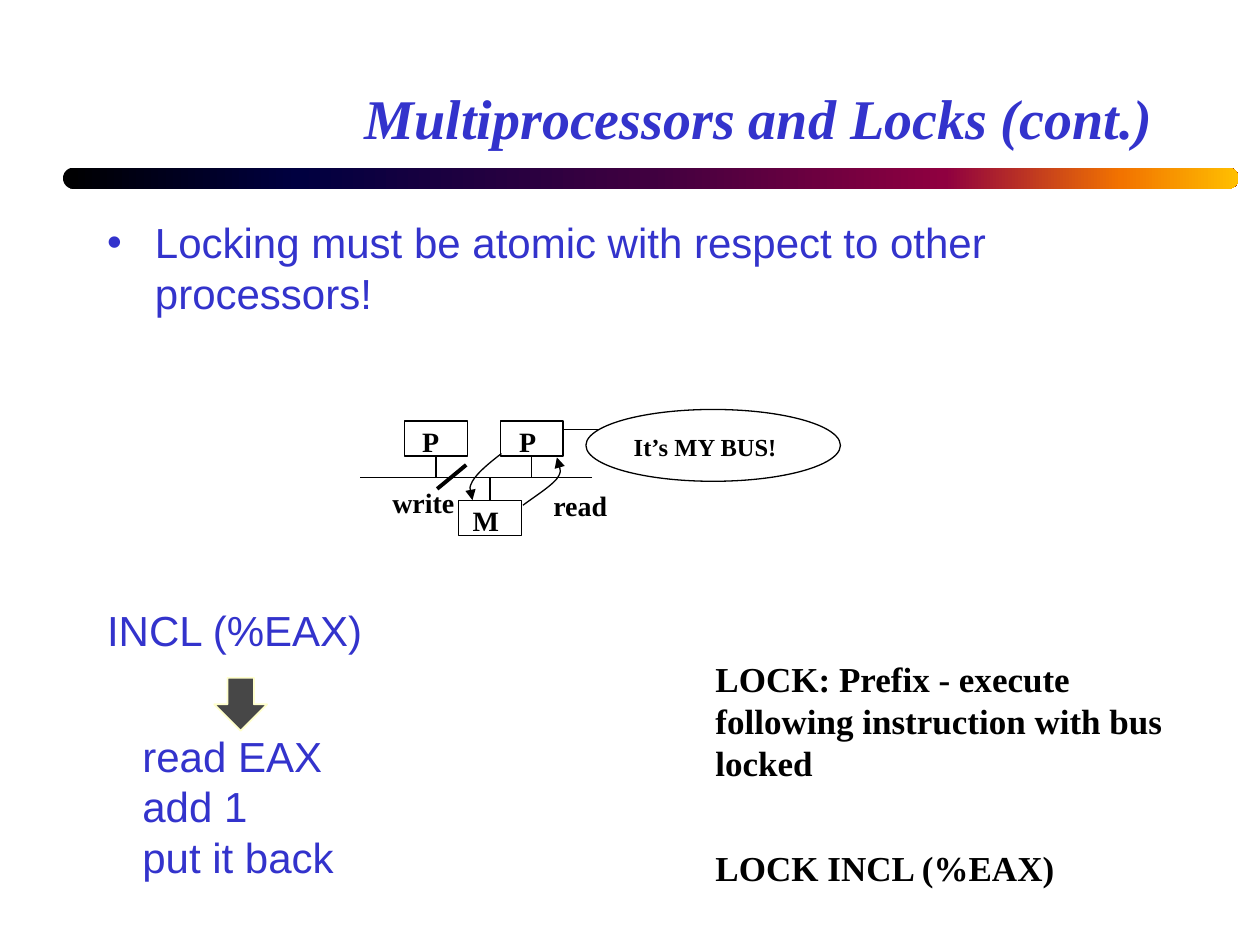
import pptx
import pptx.dml.color
import pptx.enum.dml
import pptx.enum.shapes
import pptx.enum.text
import pptx.oxml
import pptx.oxml.ns
import pptx.util
from pptx.util import Inches

SHAPE = pptx.enum.shapes.MSO_SHAPE
ALIGN = pptx.enum.text.PP_ALIGN
AUTO = pptx.enum.text.MSO_AUTO_SIZE
BLUE, BLACK = "3333CC", "000000"
SERIF, SANS = "Times New Roman", "Arial"


def color(value):
    return pptx.dml.color.RGBColor.from_string(value)


def add_xml(parent, tag, **attributes):
    child = pptx.oxml.parse_xml(f"<a:{tag} {pptx.oxml.ns.nsdecls('a')}/>")
    for name, value in attributes.items():
        child.set(name, value)
    parent.append(child)
    return child


class SlideBuilder:
    """Holds the current slide, its drawing target and the shared style."""

    def __init__(self, page):
        self.page = page
        self.shapes = page.shapes

    def style(self, paragraph, size, font=SERIF, ink=BLACK, bold=True, italic=False,
              align=ALIGN.LEFT, before=0, after=0):
        paragraph.alignment = align
        paragraph.space_before = pptx.util.Pt(before)
        paragraph.space_after = pptx.util.Pt(after)
        paragraph.font.size = pptx.util.Pt(size)
        paragraph.font.name = font
        paragraph.font.bold = bold
        paragraph.font.italic = italic
        paragraph.font.color.rgb = color(ink)

    def place(self, item, left, top, width, height):
        item.left, item.top = Inches(left), Inches(top)
        item.width, item.height = Inches(width), Inches(height)
        item.text_frame.auto_size = AUTO.NONE
        return item.text_frame

    def indent(self, paragraph, left, first=0, bullet=None):
        properties = paragraph._p.get_or_add_pPr()
        properties.set("marL", str(Inches(left)))
        properties.set("indent", str(Inches(first)))
        if bullet:
            add_xml(add_xml(properties, "buClr"), "srgbClr", val=BLUE)
            add_xml(properties, "buFont", typeface=SANS)
            add_xml(properties, "buChar", char=bullet)
        else:
            add_xml(properties, "buNone")

    def outline(self, item, width=0.75, ink=BLACK):
        item.line.color.rgb = color(ink)
        item.line.width = pptx.util.Pt(width)

    def shape(self, kind, left, top, width, height, fill=None, line=BLACK, line_width=0.75):
        item = self.shapes.add_shape(kind, Inches(left), Inches(top),
                                     Inches(width), Inches(height))
        item.shadow.inherit = False
        if fill:
            item.fill.solid()
            item.fill.fore_color.rgb = color(fill)
        else:
            item.fill.background()
        if line:
            self.outline(item, line_width, line)
        else:
            item.line.fill.background()
        return item

    def gradient(self, item, stops):
        item.fill.gradient()
        item.fill.gradient_angle = 0
        stop_list = item._element.spPr.find(".//" + pptx.oxml.ns.qn("a:gsLst"))
        for old in list(stop_list):
            stop_list.remove(old)
        for percent, value in stops:
            stop = add_xml(stop_list, "gs", pos=str(percent * 1000))
            add_xml(stop, "srgbClr", val=value)

    def line(self, start, end, width=0.75, source=None, site=2):
        item = self.shapes.add_connector(pptx.enum.shapes.MSO_CONNECTOR.STRAIGHT,
                                         *map(Inches, start + end))
        self.outline(item, width)
        add_xml(item._element.spPr, "effectLst")
        if source is not None:
            item.begin_connect(source, site)
        return item

    def curved_arrow(self, start, *points):
        """Draws cubic curves: each three points are two controls and an end."""
        pen = self.shapes.build_freeform(Inches(start[0]), Inches(start[1]))
        pen.add_line_segments([tuple(map(Inches, point)) for point in points], close=False)
        item = pen.convert_to_shape()
        item.shadow.inherit = False
        item.fill.background()
        self.outline(item)
        track = item._element.spPr.find(".//" + pptx.oxml.ns.qn("a:path"))
        segments = track.findall(pptx.oxml.ns.qn("a:lnTo"))
        for first in range(0, len(segments), 3):
            curve = add_xml(track, "cubicBezTo")
            for segment in segments[first:first + 3]:
                curve.append(segment[0])
                track.remove(segment)
        add_xml(item.line._get_or_add_ln(), "tailEnd", type="triangle")

    def text(self, left, top, width, height, size, *entries, wrap=False, align=ALIGN.LEFT):
        """Each entry is a text and the space before it in points."""
        box = self.shapes.add_textbox(Inches(left), Inches(top), Inches(width), Inches(height))
        frame = box.text_frame
        frame.word_wrap = wrap
        frame.auto_size = AUTO.SHAPE_TO_FIT_TEXT
        if not wrap:
            frame.margin_left = frame.margin_right = 0
            frame.margin_top = frame.margin_bottom = 0
        for index, (words, before) in enumerate(entries):
            paragraph = frame.paragraphs[0] if index == 0 else frame.add_paragraph()
            paragraph.add_run().text = words
            self.style(paragraph, size, before=before, align=align)

    def title(self, words):
        frame = self.place(self.page.shapes.title, 0.75, 0.25, 8.5, 1)
        frame.vertical_anchor = pptx.enum.text.MSO_ANCHOR.BOTTOM
        frame.text = words
        self.style(frame.paragraphs[0], 32, ink=BLUE, italic=True, align=ALIGN.RIGHT)

    def body(self, entries):
        """Each entry is text, left indent, first-line indent, bullet, space before."""
        frame = self.place(self.page.placeholders[1], 0.75, 1.67, 8.5, 5.83)
        for index, (words, left, first, bullet, before) in enumerate(entries):
            paragraph = frame.paragraphs[0] if index == 0 else frame.add_paragraph()
            paragraph.add_run().text = words
            self.indent(paragraph, left, first, bullet)
            self.style(paragraph, 24, SANS, BLUE, bold=False, before=before)


def main():
    deck = pptx.Presentation()
    deck.slide_width, deck.slide_height = Inches(10), Inches(7.5)
    page = deck.slides.add_slide(deck.slide_layouts[1])
    builder = SlideBuilder(page)

    # Title, rule and body
    bar = builder.shape(SHAPE.ROUNDED_RECTANGLE, 0.5, 1.33, 9.33, 0.17, line=None)
    bar.adjustments[0] = 0.5
    builder.gradient(bar, [(0, "000000"), (20, "000040"), (50, "400040"),
                           (75, "8F0040"), (90, "F27300"), (100, "FFBF00")])
    builder.title("Multiprocessors and Locks (cont.)")
    builder.body([
        ("Locking must be atomic with respect to other processors!", 0.38, -0.38, "•", 0),
        ("INCL (%EAX)", 0, 0, None, 164),
        ("read EAX", 0.28, 0, None, 43),
        ("add 1", 0.28, 0, None, 0),
        ("put it back", 0.28, 0, None, 0),
    ])

    # Bus diagram: processors above the bus, memory below it
    bus = 3.79
    builder.shapes = page.shapes.add_group_shape().shapes
    builder.line((4.7, bus), (2.86, bus))
    for name, left, top, text_left, text_width, site in [
            ("P", 3.97, 3.34, 4.12, 0.14, 2),
            ("P", 3.21, 3.34, 3.35, 0.14, 2),
            ("M", 3.64, 3.97, 3.75, 0.21, 0)]:
        node = builder.shape(SHAPE.RECTANGLE, left, top, 0.5, 0.28)
        builder.text(text_left, top + 0.03, text_width, 0.27, 16, (name, 0))
        middle = left + 0.25
        builder.line((middle, top), (middle, bus), source=node, site=site)

    # Read and write traffic
    builder.text(4.39, 3.88, 0.43, 0.27, 16, ("read", 0), align=ALIGN.CENTER)
    builder.text(3.11, 3.85, 0.5, 0.27, 16, ("write", 0), align=ALIGN.CENTER)
    builder.curved_arrow((4.15, 4.01), (4.26, 3.93), (4.37, 3.86), (4.42, 3.8),
                         (4.46, 3.74), (4.44, 3.68), (4.42, 3.63))
    builder.curved_arrow((3.98, 3.6), (3.89, 3.67), (3.79, 3.75), (3.75, 3.82),
                         (3.72, 3.88), (3.74, 3.93), (3.75, 3.97))
    builder.line((3.47, 3.88), (3.7, 3.69), width=2.25)

    # Speech bubble
    builder.text(5.03, 3.43, 1.14, 0.24, 14, ("It’s MY BUS!", 0))
    builder.shape(SHAPE.OVAL, 4.65, 3.25, 2.02, 0.57)
    builder.line((4.48, 3.41), (4.76, 3.41))

    # Lock prefix note and arrow
    builder.shapes = page.shapes
    builder.text(5.58, 5.17, 4, 1.95, 20,
                 ("LOCK: Prefix - execute following instruction with bus locked", 0),
                 ("LOCK INCL (%EAX)", 36), wrap=True)
    builder.shape(SHAPE.DOWN_ARROW, 1.7, 5.38, 0.42, 0.42,
                  fill="474747", line="FFFFCC", line_width=1)

    deck.save("out.pptx")


if __name__ == "__main__":
    main()
